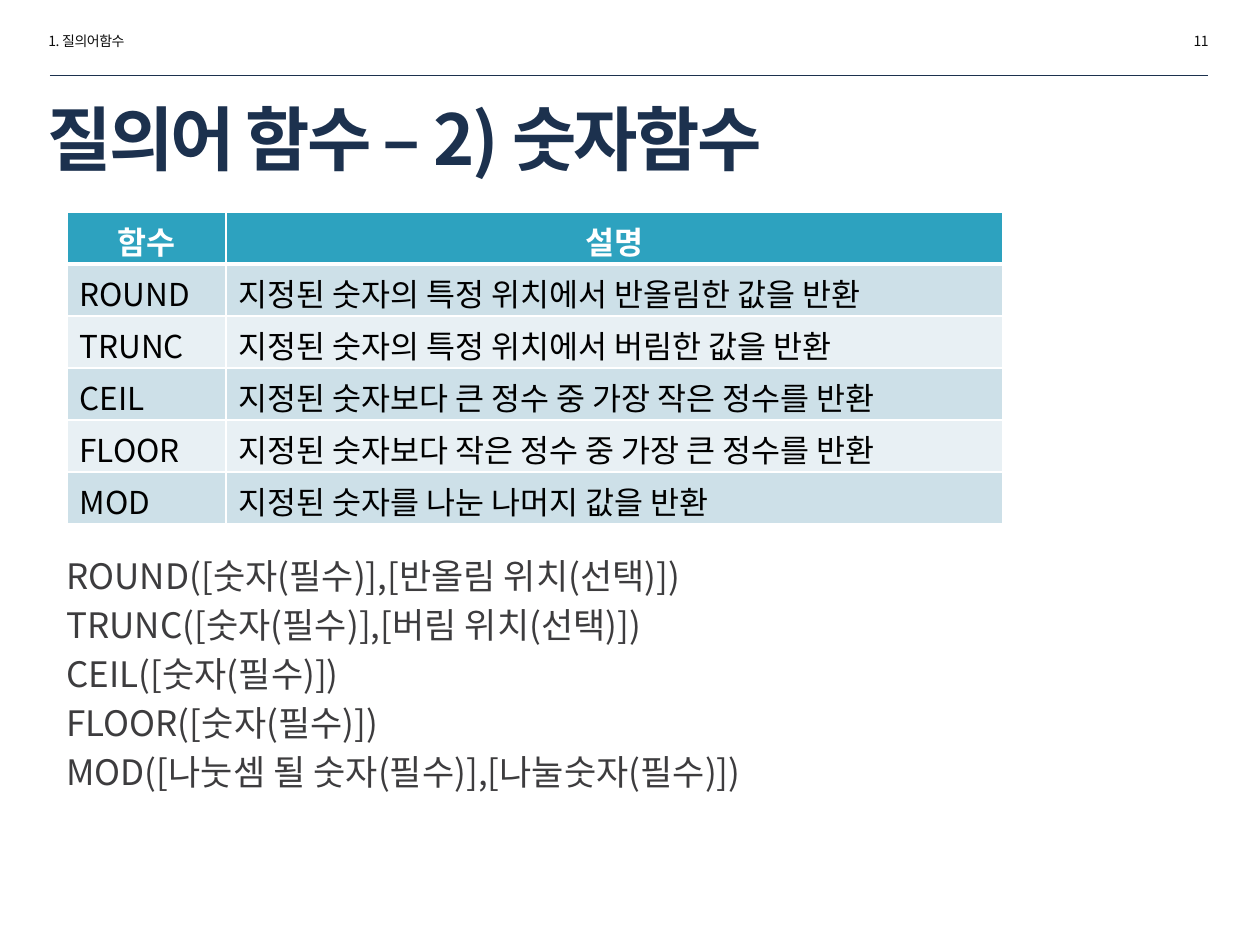
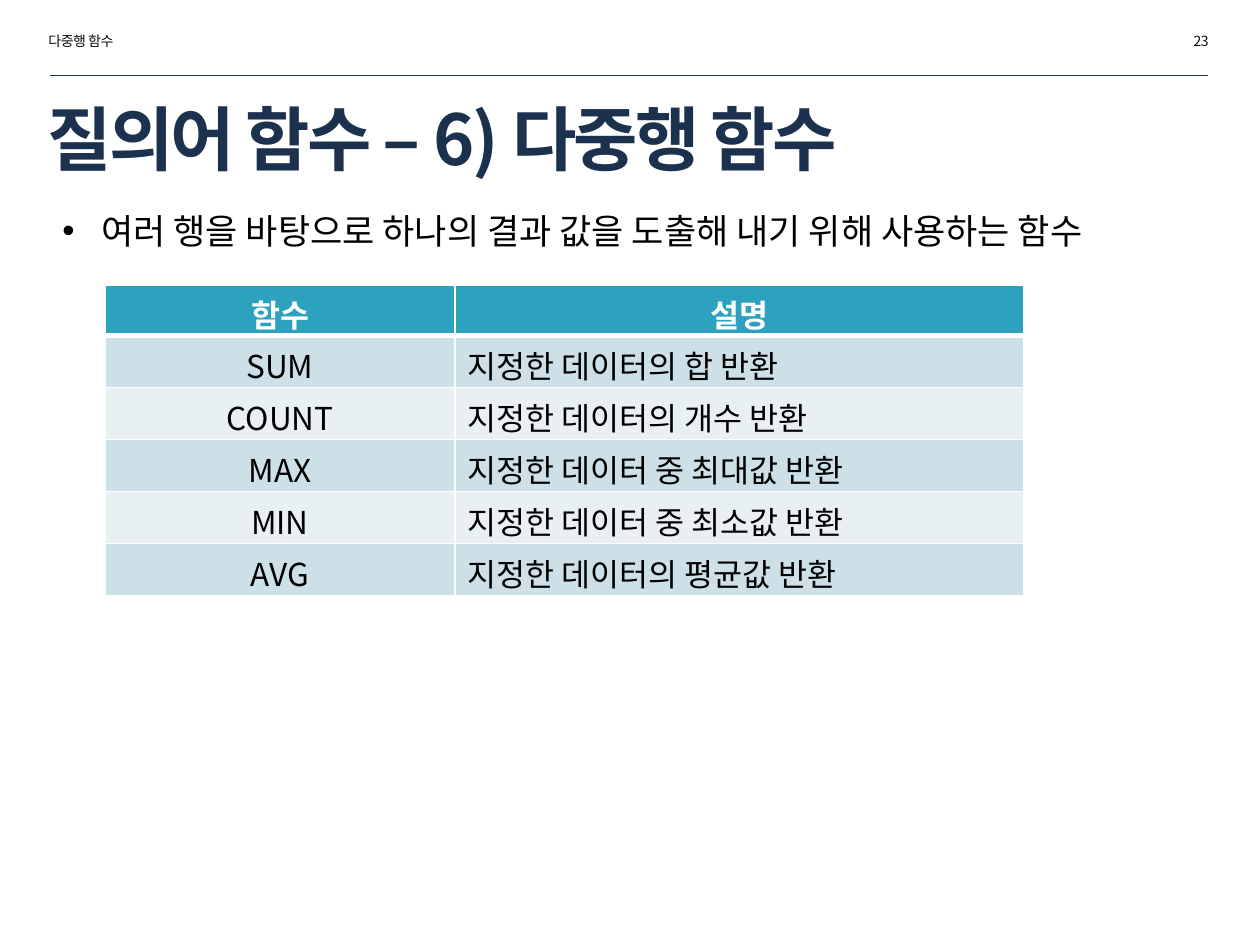
"""Build two slides on SQL number and group functions."""
from lxml.etree import SubElement
from pptx import Presentation
from pptx.dml.color import RGBColor
from pptx.enum.shapes import MSO_CONNECTOR
from pptx.enum.text import MSO_ANCHOR, PP_ALIGN
from pptx.oxml.ns import qn
from pptx.util import Emu, Pt

SCALE = 914400 / 126
FONT = "Noto Sans CJK KR"
COLORS = {
    "navy": "1C314E", "ink": "0D0D0D", "gray": "3D3C3E", "black": "000000",
    "white": "FFFFFF", "header": "2DA2BF", "band": "CDE0E8", "pale": "E8F0F4",
}
HEADINGS = ["함수", "설명"]
NUMBER_FUNCTIONS = [
    ["ROUND", "지정된 숫자의 특정 위치에서 반올림한 값을 반환"],
    ["TRUNC", "지정된 숫자의 특정 위치에서 버림한 값을 반환"],
    ["CEIL", "지정된 숫자보다 큰 정수 중 가장 작은 정수를 반환"],
    ["FLOOR", "지정된 숫자보다 작은 정수 중 가장 큰 정수를 반환"],
    ["MOD", "지정된 숫자를 나눈 나머지 값을 반환"],
]
SIGNATURES = [
    "ROUND([숫자(필수)],[반올림 위치(선택)])",
    "TRUNC([숫자(필수)],[버림 위치(선택)])",
    "CEIL([숫자(필수)])",
    "FLOOR([숫자(필수)])",
    "MOD([나눗셈 될 숫자(필수)],[나눌숫자(필수)])",
]
GROUP_FUNCTIONS = [
    ["SUM", "지정한 데이터의 합 반환"],
    ["COUNT", "지정한 데이터의 개수 반환"],
    ["MAX", "지정한 데이터 중 최대값 반환"],
    ["MIN", "지정한 데이터 중 최소값 반환"],
    ["AVG", "지정한 데이터의 평균값 반환"],
]


def px(length):
    return Emu(round(length * SCALE))


def color(name):
    return RGBColor.from_string(COLORS[name])


class Deck:
    def __init__(self):
        self.deck = Presentation()
        self.deck.slide_width, self.deck.slide_height = px(1260), px(945)
        self.page = None

    def style(self, para, size, ink, bold=False, spacing=0, align=PP_ALIGN.LEFT):
        para.alignment = align
        for span in para.runs:
            span.font.size, span.font.bold, span.font.name = Pt(size), bold, FONT
            span.font.color.rgb = color(ink)
            properties = span._r.get_or_add_rPr()
            SubElement(properties, qn("a:ea"), typeface=FONT)
            if spacing:
                properties.set("spc", str(spacing))

    def text(self, area, lines, size, ink, before=0, anchor=MSO_ANCHOR.TOP, **look):
        frame = self.page.shapes.add_textbox(*map(px, area)).text_frame
        frame.word_wrap, frame.vertical_anchor = True, anchor
        frame.text = "\n".join(lines)
        for para in frame.paragraphs:
            para.space_before = Pt(before)
            self.style(para, size, ink, **look)
        return frame

    def bullet(self, area, line):
        frame = self.text(area, [line], 20, "black")
        properties = frame.paragraphs[0]._p.get_or_add_pPr()
        properties.set("marL", str(px(39)))
        properties.set("indent", str(-px(39)))
        SubElement(properties, qn("a:buFont"), typeface="Arial")
        SubElement(properties, qn("a:buChar"), char="•")

    def rule(self, left, right, top):
        line = self.page.shapes.add_connector(
            MSO_CONNECTOR.STRAIGHT, px(left), px(top), px(right), px(top))
        line.line.color.rgb, line.line.width = color("navy"), Pt(0.25)
        SubElement(line._element.spPr, qn("a:effectLst"))

    def borders(self, cell, row):
        widths = {"L": 1, "R": 1, "T": 3 if row == 1 else 1, "B": 3 if row == 0 else 1}
        for side, width in widths.items():
            edge = SubElement(cell._tc.get_or_add_tcPr(), qn(f"a:ln{side}"), w=str(Pt(width)))
            fill = SubElement(edge, qn("a:solidFill"))
            SubElement(fill, qn("a:srgbClr"), val=COLORS["white"])

    def table(self, left, top, widths, heights, rows, name_align):
        area = map(px, (left, top, sum(widths), sum(heights)))
        table = self.page.shapes.add_table(len(rows), len(widths), *area).table
        table.horz_banding = False
        for column, width in zip(table.columns, widths):
            column.width = px(width)
        for index, (row, height, values) in enumerate(zip(table.rows, heights, rows)):
            row.height = px(height)
            head = index == 0
            shade = "header" if head else ("pale", "band")[index % 2]
            for cell, value, align in zip(row.cells, values, (name_align, PP_ALIGN.LEFT)):
                cell.text = value
                cell.vertical_anchor = MSO_ANCHOR.TOP if head else MSO_ANCHOR.MIDDLE
                self.borders(cell, index)
                cell.fill.solid()
                cell.fill.fore_color.rgb = color(shade)
                self.style(cell.text_frame.paragraphs[0], 18, "white" if head else "black",
                           bold=head, align=PP_ALIGN.CENTER if head else align)

    def slide(self, section, number, title):
        self.page = self.deck.slides.add_slide(self.deck.slide_layouts[6])
        self.rule(50, 1208, 75)
        self.text((35, 97, 964, 81), [title], 40, "navy", bold=True, spacing=-150,
                  anchor=MSO_ANCHOR.MIDDLE)
        self.text((1003, 26, 218, 30), [number], 8, "ink", spacing=-30, align=PP_ALIGN.RIGHT)
        self.text((36, 26, 218, 30), [section], 8, "ink", spacing=-30)


def main():
    deck = Deck()
    deck.slide("1. 질의어함수", "11", "질의어 함수 – 2) 숫자함수")
    deck.text((54, 548, 984, 354), SIGNATURES, 20, "gray", before=4)
    deck.table(67, 212, [159, 777], [52] * 6, [HEADINGS, *NUMBER_FUNCTIONS], PP_ALIGN.LEFT)

    deck.slide("다중행 함수", "23", "질의어 함수 – 6) 다중행 함수")
    deck.table(105, 285, [350, 569], [50] + [52] * 5, [HEADINGS, *GROUP_FUNCTIONS],
               PP_ALIGN.CENTER)
    deck.bullet((50, 203, 1123, 55), "여러 행을 바탕으로 하나의 결과 값을 도출해 내기 위해 사용하는 함수")
    deck.deck.save("out.pptx")


if __name__ == "__main__":
    main()
